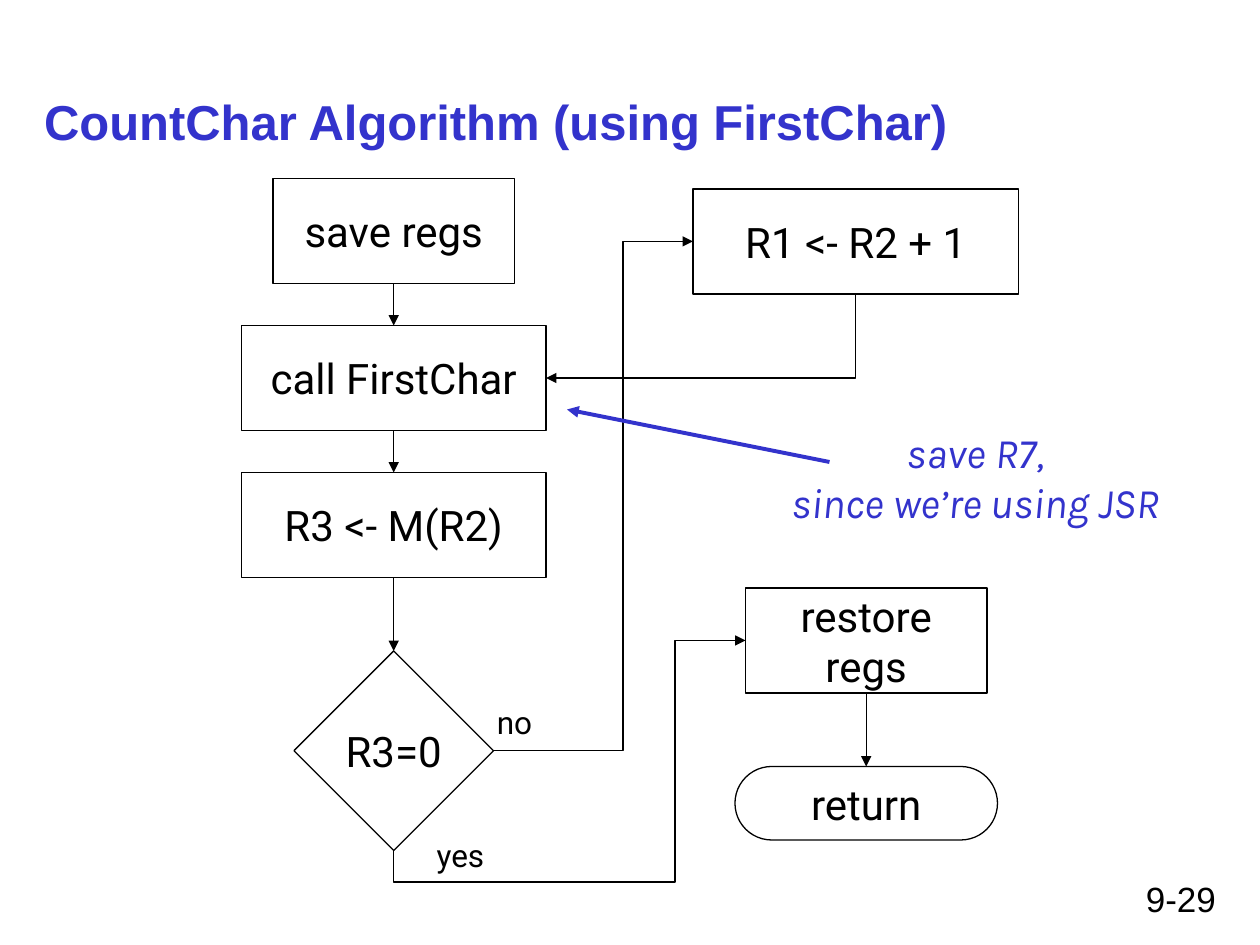
from lxml import etree
from pptx import Presentation
from pptx import util as u
from pptx.dml.color import RGBColor
from pptx.enum import shapes, text
from pptx.oxml.ns import qn

PX = 7620  # 120 px to the inch
COLORS = {"ink": "000000", "accent": "3333CC"}
TOP, LEFT, BOTTOM, RIGHT = range(4)  # connection sites
SHAPE, LINE = shapes.MSO_SHAPE, shapes.MSO_CONNECTOR


def emu(*lengths):
    return [u.Emu(length * PX) for length in lengths]


def color(name):
    return RGBColor.from_string(COLORS[name])


def write(box, content, size=24, font="Roboto", ink="ink", bold=False, italic=False,
          align=text.PP_ALIGN.CENTER, anchor=text.MSO_ANCHOR.MIDDLE, wrap=False):
    """Fill a box with one paragraph for each string in content."""
    frame = box.text_frame
    frame.word_wrap = wrap
    frame.auto_size = text.MSO_AUTO_SIZE.NONE
    frame.vertical_anchor = anchor
    for number, words in enumerate(content):
        para = frame.add_paragraph() if number else frame.paragraphs[0]
        para.text = words
        para.alignment = align
        for span in para.runs:
            span.font.size = u.Pt(size)
            span.font.name = font
            span.font.bold = bold
            span.font.italic = italic
            span.font.color.rgb = color(ink)


def add_label(page, place, content, **style):
    box = page.shapes.add_textbox(*emu(*place))
    write(box, content, anchor=text.MSO_ANCHOR.TOP, **style)


def add_step(page, place, *content, kind=SHAPE.RECTANGLE):
    box = page.shapes.add_shape(kind, *emu(*place))
    box.shadow.inherit = False
    box.fill.background()
    box.line.color.rgb = color("ink")
    box.line.width = u.Pt(0.75)
    write(box, content)
    return box


def add_arrow(page, start=(0, 0), end=(0, 0), kind=LINE.STRAIGHT, ink="ink", width=0.75):
    arrow = page.shapes.add_connector(kind, *emu(*start, *end))
    arrow.line.color.rgb = color(ink)
    arrow.line.width = u.Pt(width)
    etree.SubElement(arrow.line._get_or_add_ln(), qn("a:tailEnd"), type="triangle")
    etree.SubElement(arrow._element.spPr, qn("a:effectLst"))
    return arrow


def join(page, source, exit_site, target, entry_site, kind=LINE.STRAIGHT):
    arrow = add_arrow(page, kind=kind)
    arrow.begin_connect(source, exit_site)
    arrow.end_connect(target, entry_site)
    return arrow


def bend(arrow, preset, *adjusts, turned=False):
    """Set the elbow's form; a turned elbow leaves its source vertically."""
    geometry = arrow._element.spPr.find(qn("a:prstGeom"))
    geometry.set("prst", preset)
    guides = geometry.find(qn("a:avLst"))
    for number, value in enumerate(adjusts, 1):
        etree.SubElement(guides, qn("a:gd"), name=f"adj{number}",
                         fmla=f"val {round(value * 100000)}")
    if turned:
        from_left = arrow.begin_x < arrow.end_x
        from_below = arrow.begin_y > arrow.end_y
        left, top, width, height = arrow.left, arrow.top, arrow.width, arrow.height
        shift = (width - height) // 2
        arrow.left, arrow.top = left + shift, top - shift
        arrow.width, arrow.height = height, width
        frame = arrow._element.spPr.find(qn("a:xfrm"))
        frame.set("rot", "5400000")
        frame.set("flipH", str(int(from_below)))
        frame.set("flipV", str(int(from_left)))


def add_title(page, place):
    title = page.shapes.title
    title.left, title.top, title.width, title.height = emu(*place)
    write(title, ["CountChar Algorithm (using FirstChar)"], size=28, font="Arial",
          ink="accent", bold=True, align=text.PP_ALIGN.LEFT, wrap=True)


def add_flowchart(page, left, top):
    def at(x, y, *size):
        return (left + x, top + y, *size)

    save = add_step(page, at(30, 0, 230, 100), "save regs")
    call = add_step(page, at(0, 140, 290, 100), "call FirstChar")
    load = add_step(page, at(0, 280, 290, 100), "R3 <- M(R2)")
    test = add_step(page, at(50, 450, 190, 190), "R3=0", kind=SHAPE.DIAMOND)
    advance = add_step(page, at(430, 10, 310, 100), "R1 <- R2 + 1")
    restore = add_step(page, at(480, 390, 230, 100), "restore", "regs")
    leave = add_step(page, at(470, 560, 250, 70), "return", kind=SHAPE.ROUNDED_RECTANGLE)
    leave.adjustments[0] = 0.5

    for source, target in ((save, call), (call, load), (load, test), (restore, leave)):
        join(page, source, BOTTOM, target, TOP)
    bend(join(page, test, RIGHT, advance, LEFT, LINE.ELBOW), "bentConnector3", 0.65)
    bend(join(page, test, BOTTOM, restore, LEFT, LINE.ELBOW),
         "bentConnector4", -0.15, 0.8, turned=True)
    bend(join(page, advance, BOTTOM, call, RIGHT, LINE.ELBOW),
         "bentConnector2", turned=True)

    add_label(page, at(230, 494, 60, 48), ["no"], size=18)
    add_label(page, at(173, 620, 71, 48), ["yes"], size=18)


def add_note(page, left, top):
    add_label(page, (left, top, 386, 108), ["save R7,\nsince we’re using JSR"],
              font="Karla", ink="accent", italic=True)
    add_arrow(page, (left + 54, top + 40), (left - 196, top - 10),
              ink="accent", width=2.25)


def main():
    deck = Presentation()
    deck.slide_width, deck.slide_height = emu(1200, 900)
    page = deck.slides.add_slide(deck.slide_layouts[5])
    add_title(page, (30, 80, 1140, 70))
    add_flowchart(page, 230, 170)
    add_note(page, 736, 400)
    add_label(page, (860, 830, 310, 50), ["9-29"], size=20, font="Arial",
              align=text.PP_ALIGN.RIGHT, wrap=True)
    deck.save("out.pptx")


if __name__ == "__main__":
    main()
